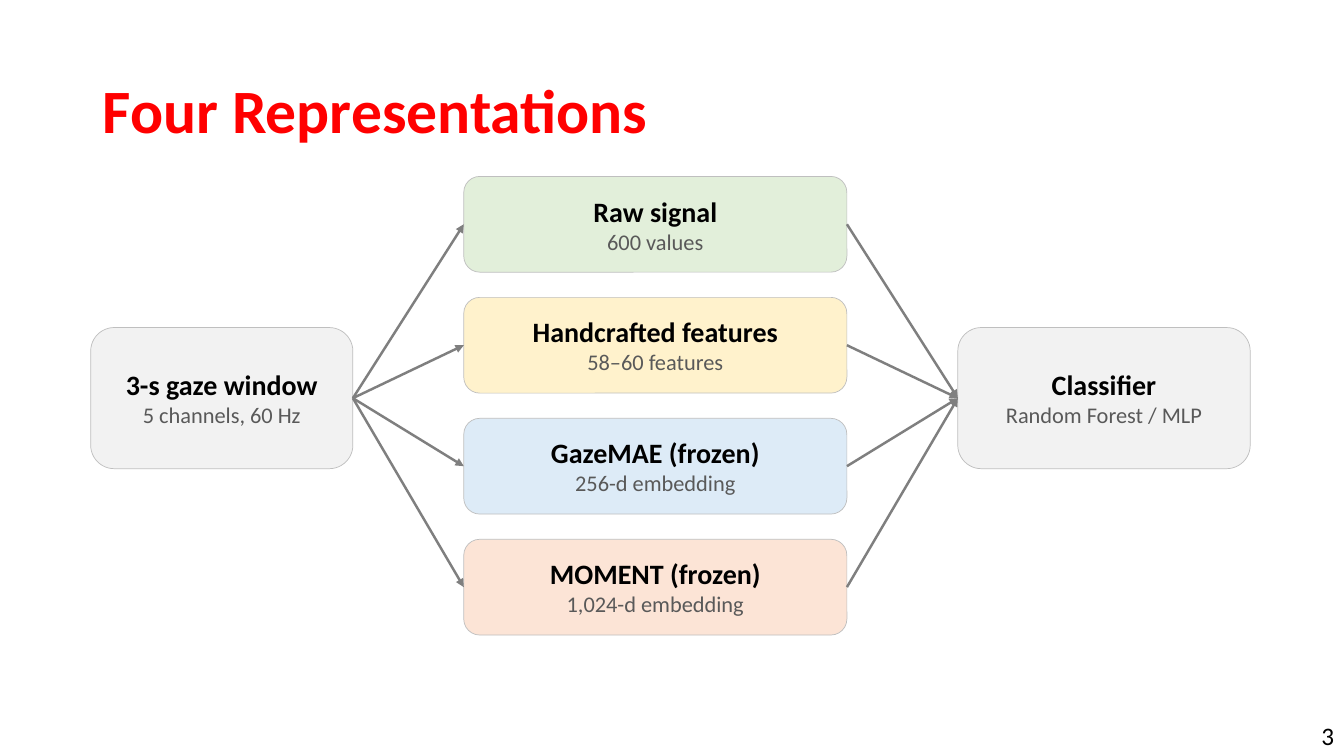
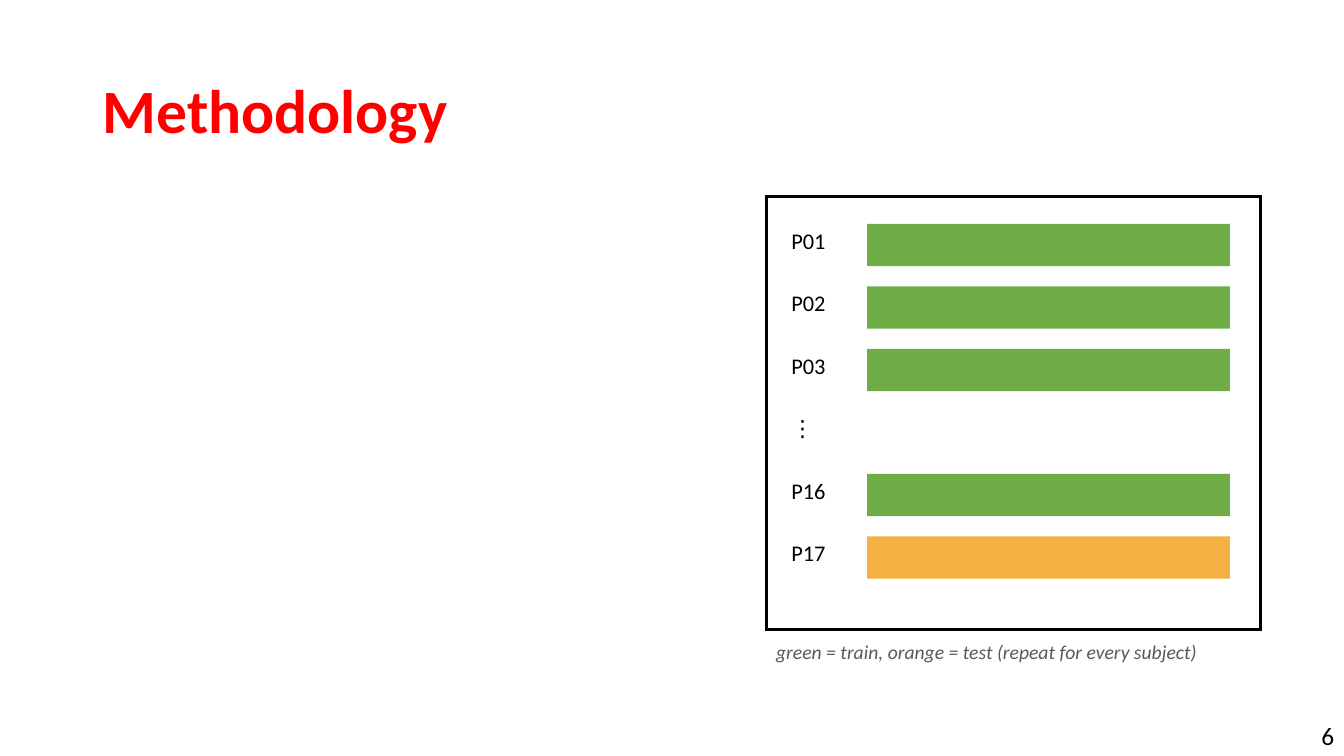
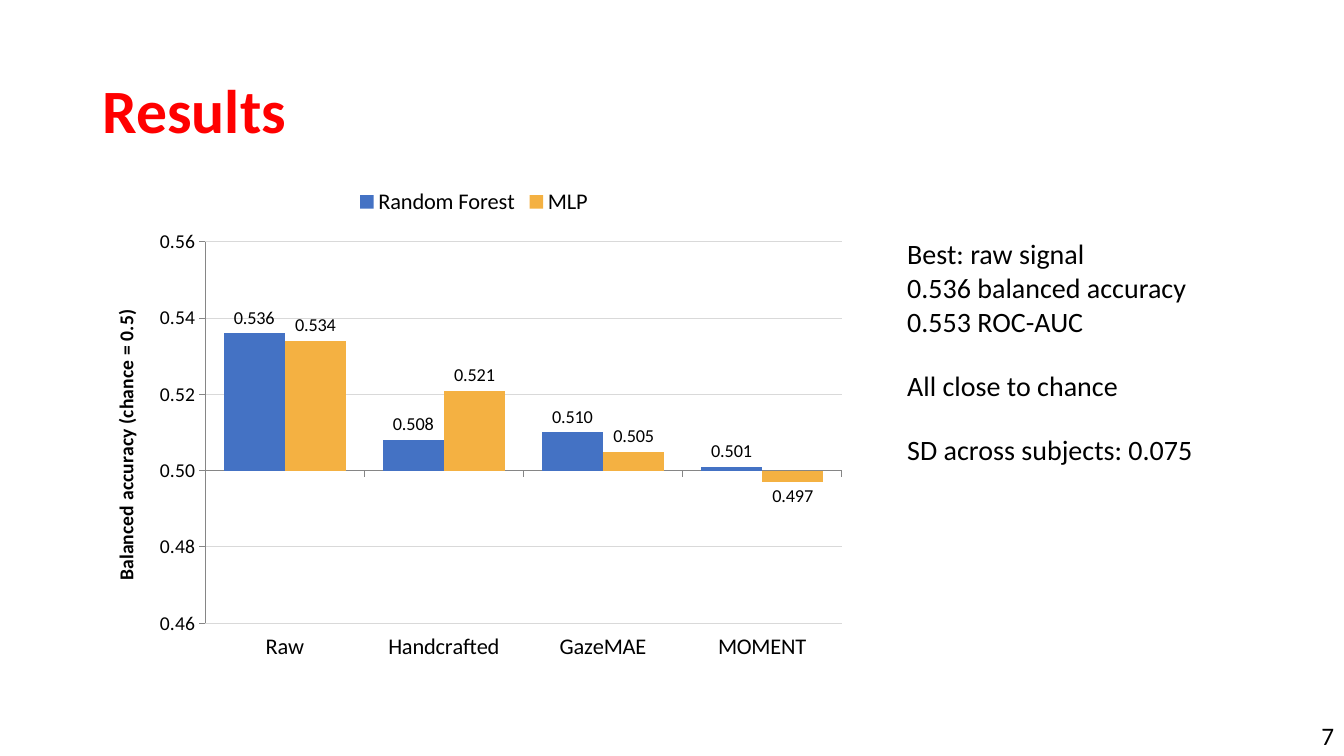
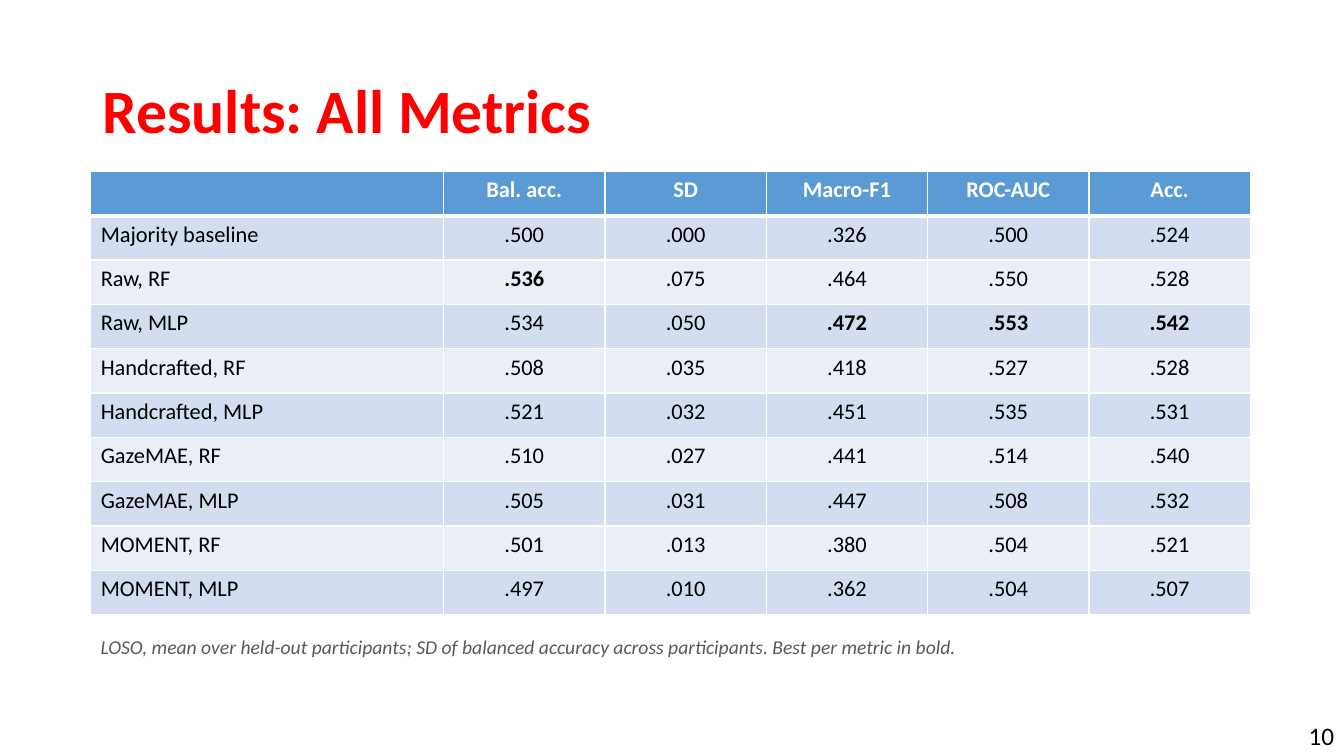
from pptx import Presentation
from pptx import util as u
from pptx.chart.data import CategoryChartData
from pptx.dml.color import RGBColor
from pptx.enum import chart as charts, shapes, text
from pptx.oxml.ns import qn
from lxml import etree

Inches, Pt = u.Inches, u.Pt
FONT = "Calibri"
COLORS = {
    "title": "FF0000", "black": "000000", "white": "FFFFFF", "muted": "595959",
    "box": "F2F2F2", "box_line": "BFBFBF", "arrow": "7F7F7F",
    "raw": "E2EFDA", "handcrafted": "FFF2CC", "gazemae": "DDEBF7", "moment": "FCE4D6",
    "train": "70AD47", "orange": "F4B142", "forest": "4472C4",
    "grid": "D9D9D9", "axis": "868686",
    "header": "5B9BD5", "band": "D2DEEF", "light_band": "EAEFF7",
}

SOURCE = ("3-s gaze window", "5 channels, 60 Hz")
CLASSIFIER = ("Classifier", "Random Forest / MLP")
REPRESENTATIONS = [
    ("Raw signal", "600 values", "raw"),
    ("Handcrafted features", "58–60 features", "handcrafted"),
    ("GazeMAE (frozen)", "256-d embedding", "gazemae"),
    ("MOMENT (frozen)", "1,024-d embedding", "moment"),
]

PARTICIPANTS = [("P01", "train"), ("P02", "train"), ("P03", "train"),
                ("⋮", None), ("P16", "train"), ("P17", "orange")]
SPLIT_NOTE = "green = train, orange = test (repeat for every subject)"

CATEGORIES = ["Raw", "Handcrafted", "GazeMAE", "MOMENT"]
ACCURACY = [
    ("Random Forest", [0.536, 0.508, 0.51, 0.501], "forest"),
    ("MLP", [0.534, 0.521, 0.505, 0.497], "orange"),
]
AXIS_TITLE = "Balanced accuracy (chance = 0.5)"
FINDINGS = [
    ["Best: raw signal", "0.536 balanced accuracy", "0.553 ROC-AUC"],
    ["All close to chance"],
    ["SD across subjects: 0.075"],
]

METRICS = ["", "Bal. acc.", "SD", "Macro-F1", "ROC-AUC", "Acc."]
METRIC_ROWS = [
    ["Majority baseline", ".500", ".000", ".326", ".500", ".524"],
    ["Raw, RF", ".536", ".075", ".464", ".550", ".528"],
    ["Raw, MLP", ".534", ".050", ".472", ".553", ".542"],
    ["Handcrafted, RF", ".508", ".035", ".418", ".527", ".528"],
    ["Handcrafted, MLP", ".521", ".032", ".451", ".535", ".531"],
    ["GazeMAE, RF", ".510", ".027", ".441", ".514", ".540"],
    ["GazeMAE, MLP", ".505", ".031", ".447", ".508", ".532"],
    ["MOMENT, RF", ".501", ".013", ".380", ".504", ".521"],
    ["MOMENT, MLP", ".497", ".010", ".362", ".504", ".507"],
]
RANKED_COLUMNS = (1, 3, 4, 5)
METRICS_NOTE = ("LOSO, mean over held-out participants; SD of balanced accuracy "
                "across participants. Best per metric in bold.")


def rgb(name):
    return RGBColor.from_string(COLORS[name])


def set_font(font, size, color="black", bold=False, italic=False):
    font.name, font.size = FONT, Pt(size)
    font.bold, font.italic = bold, italic
    font.color.rgb = rgb(color)


def write(paragraph, words, size, align=None, before=None, spacing=None, **style):
    run = paragraph.add_run()
    run.text = words
    set_font(run.font, size, **style)
    if align:
        paragraph.alignment = align
    if before:
        paragraph.space_before = Pt(before)
    if spacing:
        paragraph.line_spacing = spacing


def add_text(slide, words, left, top, width, height, size,
             anchor=text.MSO_ANCHOR.TOP, **style):
    box = slide.shapes.add_textbox(*map(Inches, (left, top, width, height)))
    frame = box.text_frame
    frame.word_wrap = True
    frame.vertical_anchor = anchor
    if words:
        write(frame.paragraphs[0], words, size, **style)
    return frame


def add_box(slide, kind, left, top, width, height, fill=None, line=None, line_width=0.5):
    box = slide.shapes.add_shape(kind, *map(Inches, (left, top, width, height)))
    box.shadow.inherit = False
    if fill:
        box.fill.solid()
        box.fill.fore_color.rgb = rgb(fill)
    else:
        box.fill.background()
    if line:
        box.line.color.rgb = rgb(line)
        box.line.width = Pt(line_width)
        etree.SubElement(box.line._get_or_add_ln(), qn("a:miter"), lim="800000")
    else:
        box.line.fill.background()
    return box


def add_slide(presentation, title, number):
    slide = presentation.slides.add_slide(presentation.slide_layouts[6])
    add_text(slide, title, 0.92, 0.4, 11.5, 1.45, 44, color="title", bold=True,
             anchor=text.MSO_ANCHOR.MIDDLE, spacing=0.9)
    add_text(slide, number, 12.73, 7.1, 0.6, 0.4, 18, align=text.PP_ALIGN.RIGHT)
    return slide


def add_step(slide, heading, detail, left, top, width, height, fill):
    """Rounded box with a bold heading over a grey detail line."""
    step = add_box(slide, shapes.MSO_SHAPE.ROUNDED_RECTANGLE,
                   left, top, width, height, fill, "box_line")
    frame = step.text_frame
    frame.vertical_anchor = text.MSO_ANCHOR.MIDDLE
    center = text.PP_ALIGN.CENTER
    write(frame.paragraphs[0], heading, 20, bold=True, align=center)
    write(frame.add_paragraph(), detail, 16, color="muted", align=center)
    return step


def add_arrow(slide, start, end):
    """Arrow from the right side of one box to the left side of another."""
    left_site, right_site = 1, 3
    arrow = slide.shapes.add_connector(shapes.MSO_CONNECTOR.STRAIGHT, 0, 0, 0, 0)
    arrow.begin_connect(start, right_site)
    arrow.end_connect(end, left_site)
    arrow.line.color.rgb = rgb("arrow")
    arrow.line.width = Pt(1.75)
    etree.SubElement(arrow.line._get_or_add_ln(), qn("a:tailEnd"), type="triangle")
    etree.SubElement(arrow._element.spPr, qn("a:effectLst"))


def build_representations(presentation):
    slide = add_slide(presentation, "Four Representations", "3")
    source = add_step(slide, *SOURCE, 0.9, 3.25, 2.6, 1.4, "box")
    classifier = add_step(slide, *CLASSIFIER, 9.5, 3.25, 2.9, 1.4, "box")
    for index, (heading, detail, fill) in enumerate(REPRESENTATIONS):
        step = add_step(slide, heading, detail, 4.6, 1.75 + 1.2 * index, 3.8, 0.95, fill)
        add_arrow(slide, source, step)
        add_arrow(slide, step, classifier)


def build_methodology(presentation):
    slide = add_slide(presentation, "Methodology", "6")
    rectangle = shapes.MSO_SHAPE.RECTANGLE
    add_box(slide, rectangle, 7.6, 1.95, 4.9, 4.3, line="black", line_width=2.25)
    for index, (label, fill) in enumerate(PARTICIPANTS):
        top = 2.2 + 0.62 * index
        add_text(slide, label, 7.75, top, 0.8, 0.45, 16)
        if fill:
            add_box(slide, rectangle, 8.6, top + 0.02, 3.6, 0.42, fill)
    add_text(slide, SPLIT_NOTE, 7.6, 6.3, 4.9, 0.4, 14, color="muted", italic=True)


def add_accuracy_chart(slide):
    data = CategoryChartData()
    data.categories = CATEGORIES
    for name, values, _ in ACCURACY:
        data.add_series(name, values)
    chart = slide.shapes.add_chart(charts.XL_CHART_TYPE.COLUMN_CLUSTERED,
                                   *map(Inches, (0.9, 1.75, 7.6, 4.9)), data).chart
    set_font(chart.font, 18)
    chart.has_title = False
    chart.has_legend = True
    chart.legend.position = charts.XL_LEGEND_POSITION.TOP
    chart.legend.include_in_layout = False
    set_font(chart.legend.font, 16)

    plot = chart.plots[0]
    plot.gap_width, plot.overlap = 60, 0
    plot.vary_by_categories = False
    for series, (_, _, color) in zip(plot.series, ACCURACY):
        series.format.fill.solid()
        series.format.fill.fore_color.rgb = rgb(color)
        series.invert_if_negative = False
        labels = series.data_labels
        labels.show_value = True
        labels.position = charts.XL_LABEL_POSITION.OUTSIDE_END
        labels.number_format, labels.number_format_is_linked = "0.000", False
        set_font(labels.font, 13)

    category_axis, value_axis = chart.category_axis, chart.value_axis
    for axis, size in ((category_axis, 16), (value_axis, 14)):
        axis.major_tick_mark = charts.XL_TICK_MARK.OUTSIDE
        axis.format.line.color.rgb = rgb("axis")
        set_font(axis.tick_labels.font, size)
    category_axis.tick_label_position = charts.XL_TICK_LABEL_POSITION.LOW
    value_axis.minimum_scale, value_axis.maximum_scale = 0.46, 0.56
    value_axis.major_unit = 0.02
    value_axis.crosses_at = 0.5
    value_axis.tick_labels.number_format = "0.00"
    value_axis.tick_labels.number_format_is_linked = False
    gridline = value_axis.major_gridlines.format.line
    gridline.color.rgb, gridline.width = rgb("grid"), Pt(0.75)
    write(value_axis.axis_title.text_frame.paragraphs[0], AXIS_TITLE, 14, bold=True)


def build_results(presentation):
    slide = add_slide(presentation, "Results", "7")
    add_accuracy_chart(slide)
    frame = add_text(slide, None, 8.9, 2.3, 3.9, 3.8, 20)
    for group_index, group in enumerate(FINDINGS):
        for line_index, line in enumerate(group):
            first = group_index == line_index == 0
            paragraph = frame.paragraphs[0] if first else frame.add_paragraph()
            starts_group = group_index > 0 and line_index == 0
            write(paragraph, line, 20, before=22 if starts_group else None)


def set_bottom_border(cell, color, width):
    border = etree.Element(qn("a:lnB"), w=str(Pt(width)))
    fill = etree.SubElement(border, qn("a:solidFill"))
    etree.SubElement(fill, qn("a:srgbClr"), val=COLORS[color])
    cell._tc.get_or_add_tcPr().insert(0, border)


def build_metrics(presentation):
    slide = add_slide(presentation, "Results: All Metrics", "10")
    rows = [METRICS] + METRIC_ROWS
    table = slide.shapes.add_table(len(rows), len(METRICS),
                                   *map(Inches, (0.9, 1.7, 11.5, 4.4))).table
    for index, column in enumerate(table.columns):
        column.width = Inches(1.6 if index else 3.5)
    best = {column: max(row[column] for row in METRIC_ROWS) for column in RANKED_COLUMNS}
    for row_index, row in enumerate(rows):
        header = row_index == 0
        fill = "header" if header else "band" if row_index % 2 else "light_band"
        for column, value in enumerate(row):
            cell = table.cell(row_index, column)
            cell.fill.solid()
            cell.fill.fore_color.rgb = rgb(fill)
            if header:
                set_bottom_border(cell, "white", 3)
            if value:
                write(cell.text_frame.paragraphs[0], value, 16,
                      color="white" if header else "black",
                      bold=header or value == best.get(column),
                      align=text.PP_ALIGN.CENTER if column else None)
    add_text(slide, METRICS_NOTE, 0.9, 6.25, 11.5, 0.4, 14, color="muted", italic=True)


def main():
    presentation = Presentation()
    presentation.slide_width, presentation.slide_height = Inches(13.33), Inches(7.5)
    for build in (build_representations, build_methodology, build_results, build_metrics):
        build(presentation)
    presentation.save("out.pptx")


if __name__ == "__main__":
    main()
